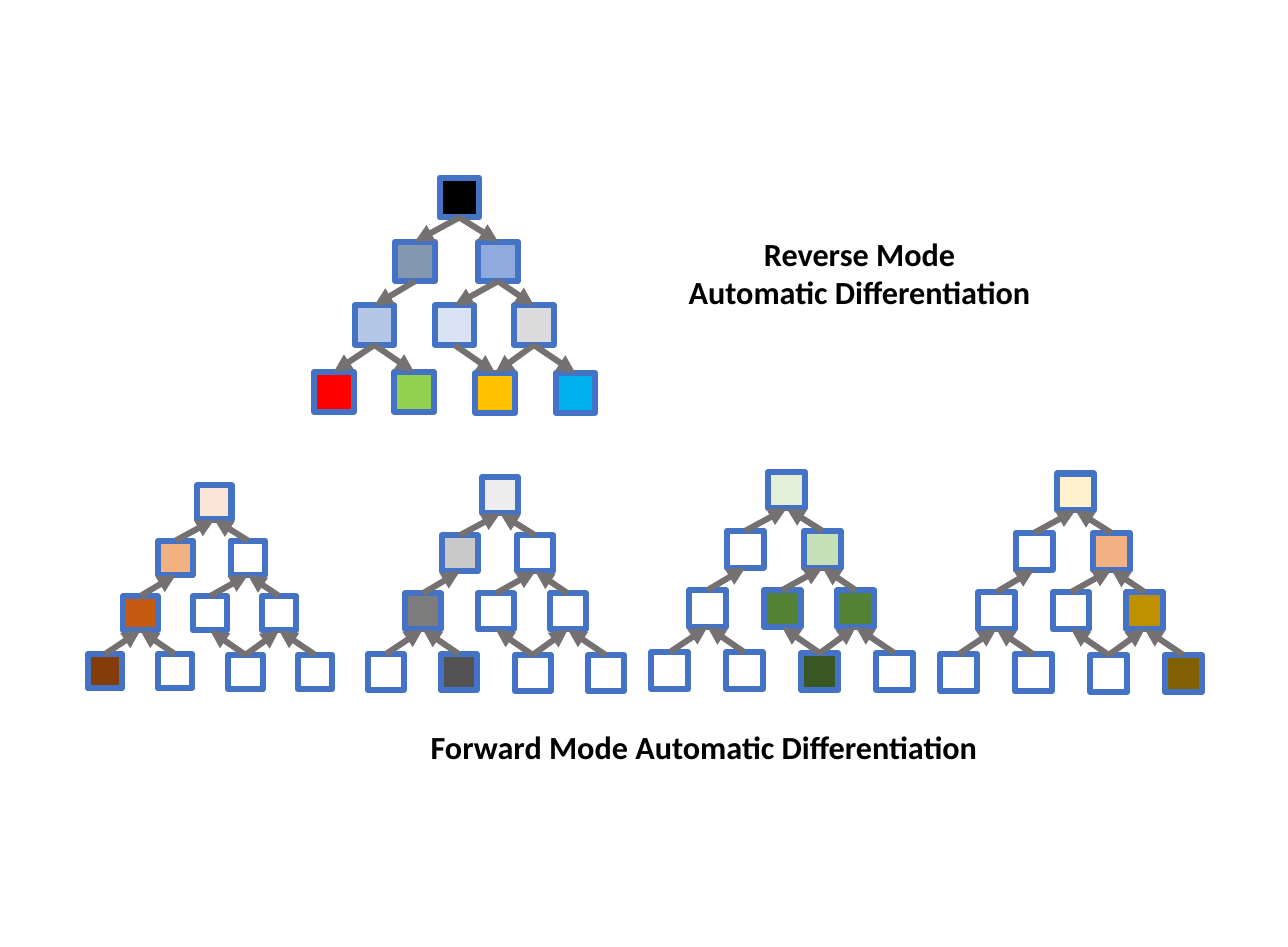
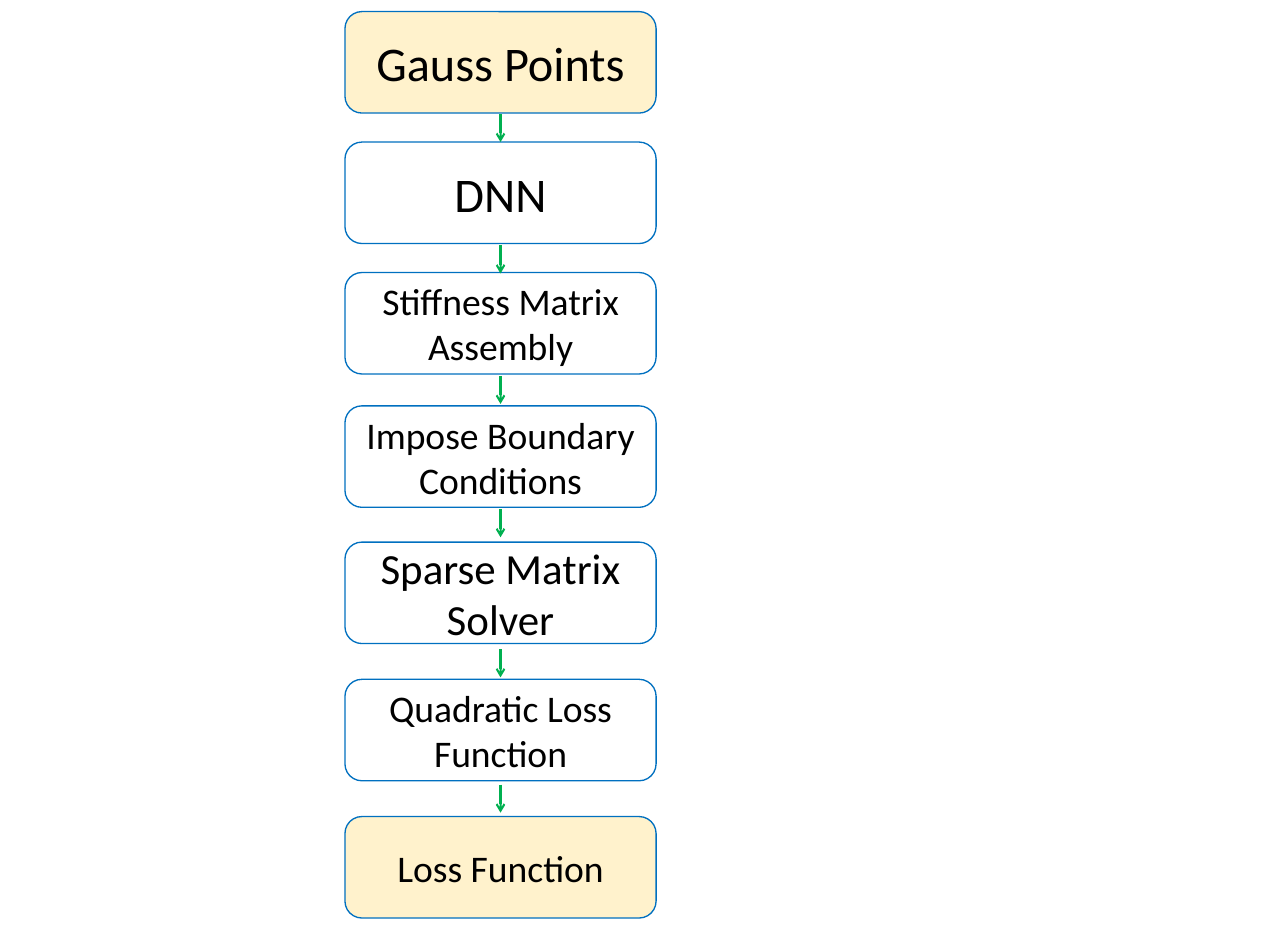
"""Build two slides: differentiation trees and a solver flow chart."""
from pptx import Presentation
from pptx.dml import color
from pptx.enum import shapes, text
from pptx.oxml import ns
from pptx.util import Inches, Pt
from lxml import etree

FONT = "Calibri"
BLACK, WHITE, CREAM = "000000", "FFFFFF", "FFF2CC"
BLUE, GRAY = "4472C4", "767171"
EDGE, GREEN = "0070C0", "00B050"
KIND = shapes.MSO_SHAPE

SIDE = 0.41
NODES = [(0, 0), (-0.46, 0.66), (0.4, 0.66),
         (-0.88, 1.32), (-0.05, 1.32), (0.77, 1.32),
         (-1.3, 2.01), (-0.47, 2.01), (0.37, 2.02), (1.2, 2.02)]
LINKS = [(6, 3), (7, 3), (9, 5), (8, 4), (8, 5),
         (3, 1), (4, 2), (5, 2), (1, 0), (2, 0)]

REVERSE = (4.55, 1.84, 1, dict(enumerate([
    "000000", "8497B0", "8FAADC", "B4C7E7", "DAE3F3", "DBDBDB",
    "FF0000", "92D050", "FFC000", "00B0F0"])))
FORWARD = [
    (2.04, 5.02, 0.87, {0: "FBE5D6", 1: "F4B183", 3: "C55A11", 6: "843C0B"}),
    (4.99, 4.94, 0.91, {0: "EDEDED", 1: "C9C9C9", 3: "7C7C7C", 7: "525252"}),
    (7.95, 4.88, 0.93, {0: "E2F0D9", 2: "C5E0B4", 4: "548235", 5: "548235",
                        8: "385723"}),
    (10.94, 4.9, 0.93, {0: CREAM, 2: "F4B183", 5: "BF9000", 9: "806000"}),
]

LEFT, WIDE, HIGH = 3.57, 3.22, 1.05
STEPS = [
    (0.12, "Gauss Points", 36, CREAM),
    (1.47, "DNN", 36, None),
    (2.82, "Stiffness Matrix Assembly", 28, None),
    (4.2, "Impose Boundary Conditions", 28, None),
    (5.61, "Sparse Matrix Solver", 32, None),
    (7.03, "Quadratic Loss Function", 28, None),
    (8.45, "Loss Function", 28, CREAM),
]
DROPS = [1.18, 2.54, 3.89, 5.27, 6.72, 8.12]


def paint(code):
    """Turn a hex string into a colour."""
    return color.RGBColor.from_string(code)


def write(frame, lines, size, bold=False):
    """Fill a text frame with centred lines."""
    for i, line in enumerate(lines):
        para = frame.paragraphs[0] if i == 0 else frame.add_paragraph()
        para.alignment = text.PP_ALIGN.CENTER
        run = para.add_run()
        run.text = line
        run.font.name, run.font.size, run.font.bold = FONT, Pt(size), bold
        run.font.color.rgb = paint(BLACK)


def box(slide, kind, area, fill, line, width):
    """Draw a preset shape; a fill of None leaves it open."""
    shape = slide.shapes.add_shape(kind, *map(Inches, area))
    shape.shadow.inherit = False
    if fill:
        shape.fill.solid()
        shape.fill.fore_color.rgb = paint(fill)
    else:
        shape.fill.background()
    shape.line.color.rgb = paint(line)
    shape.line.width = Pt(width)
    return shape


def arrow(slide, start, end, line, width, tip):
    """Draw a straight arrow that points at its end."""
    link = slide.shapes.add_connector(
        shapes.MSO_CONNECTOR.STRAIGHT, *map(Inches, (*start, *end)))
    link.line.color.rgb = paint(line)
    link.line.width = Pt(width)
    etree.SubElement(link.line._get_or_add_ln(), ns.qn("a:tailEnd"), type=tip)
    etree.SubElement(link._element.spPr, ns.qn("a:effectLst"))


def tree(slide, left, top, scale, fills, down=False):
    """Draw a scaled tree with arrows going up or down."""
    side = SIDE * scale
    spots = [(left + x * scale, top + y * scale) for x, y in NODES]
    for i, (x, y) in enumerate(spots):
        box(slide, KIND.RECTANGLE, (x, y, side, side),
            fills.get(i, WHITE), BLUE, 4.5)
    for child, root in LINKS:
        low = (spots[child][0] + side / 2, spots[child][1])
        high = (spots[root][0] + side / 2, spots[root][1] + side)
        start, end = (high, low) if down else (low, high)
        arrow(slide, start, end, GRAY, 4.5, "triangle")


def label(slide, area, *lines):
    """Add a bold caption."""
    frame = slide.shapes.add_textbox(*map(Inches, area)).text_frame
    frame.word_wrap = False
    frame.auto_size = text.MSO_AUTO_SIZE.SHAPE_TO_FIT_TEXT
    write(frame, lines, 24, True)


def modes(slide):
    """Compare reverse and forward mode."""
    tree(slide, *REVERSE, down=True)
    for item in FORWARD:
        tree(slide, *item)
    label(slide, (7, 2.37, 3.79, 0.91),
          "Reverse Mode", "Automatic Differentiation")
    label(slide, (4.32, 7.48, 5.93, 0.5),
          "Forward Mode Automatic Differentiation")


def flow(slide):
    """Draw the steps from points to loss."""
    for top, words, size, fill in STEPS:
        step = box(slide, KIND.FLOWCHART_ALTERNATE_PROCESS,
                   (LEFT, top, WIDE, HIGH), fill, EDGE, 1)
        frame = step.text_frame
        frame.word_wrap = True
        frame.vertical_anchor = text.MSO_ANCHOR.MIDDLE
        write(frame, [words], size)
    mid = LEFT + WIDE / 2
    for top in DROPS:
        arrow(slide, (mid, top), (mid, top + 0.29), GREEN, 1.5, "arrow")


def main():
    """Build and save the slides."""
    deck = Presentation()
    deck.slide_width, deck.slide_height = Inches(13.33), Inches(9.8)
    for draw in (modes, flow):
        draw(deck.slides.add_slide(deck.slide_layouts[6]))
    deck.save("out.pptx")


if __name__ == "__main__":
    main()
